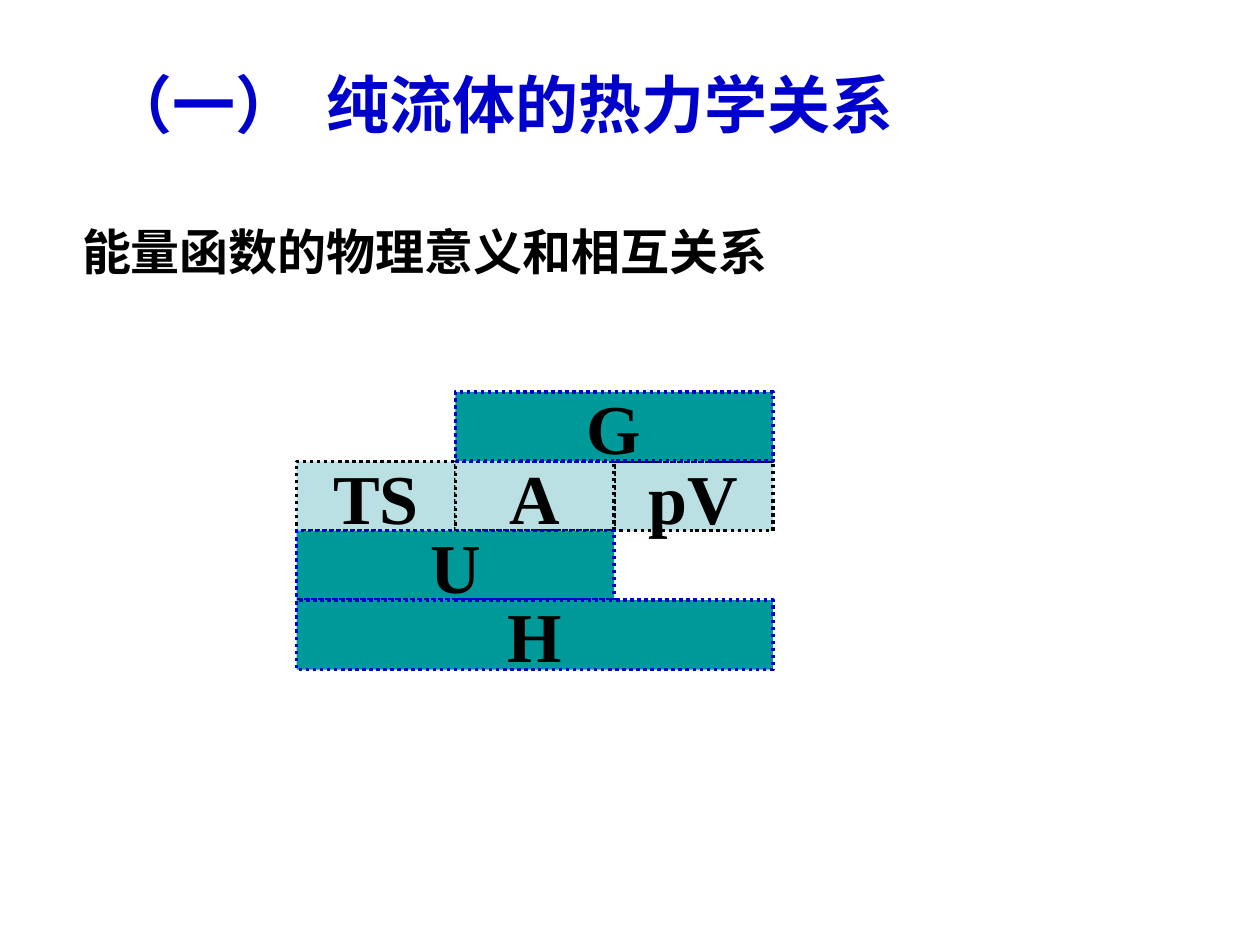
import pptx
import pptx.dml.color
import pptx.enum.dml
import pptx.enum.shapes
import pptx.enum.text
import pptx.oxml
import pptx.oxml.ns
import pptx.util
from lxml import etree

Cm = pptx.util.Cm
Pt = pptx.util.Pt
Align = pptx.enum.text.PP_ALIGN

CJK = "Noto Sans CJK SC"
LATIN = "Times New Roman"
BLACK, BLUE, TEAL, PALE = "000000", "0000CC", "009999", "BBE0E3"

GRID_LEFT, GRID_TOP = 5.98, 7.9
CELL_W, CELL_H = 3.2, 1.4

BLOCKS = [
    ("pV", 2, 1, 1, PALE, BLACK),
    ("TS", 0, 1, 1, PALE, BLACK),
    ("A", 1, 1, 1, PALE, BLACK),
    ("U", 0, 2, 2, TEAL, BLUE),
    ("G", 1, 0, 2, TEAL, BLUE),
    ("H", 0, 3, 3, TEAL, BLUE),
]


def rgb(value):
    return pptx.dml.color.RGBColor.from_string(value)


def set_attrs(target, values):
    for name, value in values.items():
        setattr(target, name, value)


def write(tf, text, size, font, color, align, wrap):
    set_attrs(tf, {
        "word_wrap": wrap,
        "auto_size": pptx.enum.text.MSO_AUTO_SIZE.NONE,
        "vertical_anchor": pptx.enum.text.MSO_ANCHOR.MIDDLE,
    })
    p = tf.paragraphs[0]
    p.alignment = align
    r = p.add_run()
    r.text = text
    set_attrs(r.font, {"size": Pt(size), "bold": True, "name": font})
    r.font.color.rgb = rgb(color)
    ea = etree.SubElement(r.font._element, pptx.oxml.ns.qn("a:ea"))
    ea.set("typeface", font)
    return p


def add_tab_stop(p, position):
    tabs = etree.SubElement(p._p.get_or_add_pPr(), pptx.oxml.ns.qn("a:tabLst"))
    tab = etree.SubElement(tabs, pptx.oxml.ns.qn("a:tab"))
    tab.set("pos", str(position))
    tab.set("algn", "l")


def place_title(s, text):
    sp = s.shapes.title
    set_attrs(sp, {"left": Cm(1.4), "top": Cm(3.76),
                   "width": Cm(20.9), "height": Cm(2.59)})
    write(sp.text_frame, text, 28, CJK, BLACK, Align.LEFT, True)


def add_heading(s, text):
    sp = s.shapes.add_textbox(Cm(1.96), Cm(0.79), Cm(17.27), Cm(2.59))
    p = write(sp.text_frame, text, 36, CJK, BLUE, Align.LEFT, True)
    add_tab_stop(p, Cm(4.37))


def add_block(group, text, column, row, span, fill, line):
    sp = group.shapes.add_shape(
        pptx.enum.shapes.MSO_SHAPE.RECTANGLE,
        Cm(GRID_LEFT + column * CELL_W), Cm(GRID_TOP + row * CELL_H),
        Cm(span * CELL_W), Cm(CELL_H))
    sp.shadow.inherit = False
    sp.fill.solid()
    sp.fill.fore_color.rgb = rgb(fill)
    sp.line.color.rgb = rgb(line)
    set_attrs(sp.line, {"width": Pt(2),
                        "dash_style": pptx.enum.dml.MSO_LINE.ROUND_DOT})
    write(sp.text_frame, text, 40, LATIN, BLACK, Align.CENTER, False)


def main():
    prs = pptx.Presentation()
    set_attrs(prs, {"slide_width": Cm(25.4), "slide_height": Cm(19.05)})
    s = prs.slides.add_slide(prs.slide_layouts[5])
    place_title(s, "能量函数的物理意义和相互关系")
    add_heading(s, "（一）\t纯流体的热力学关系")
    group = s.shapes.add_group_shape()
    for block in BLOCKS:
        add_block(group, *block)
    prs.save("out.pptx")


if __name__ == "__main__":
    main()
